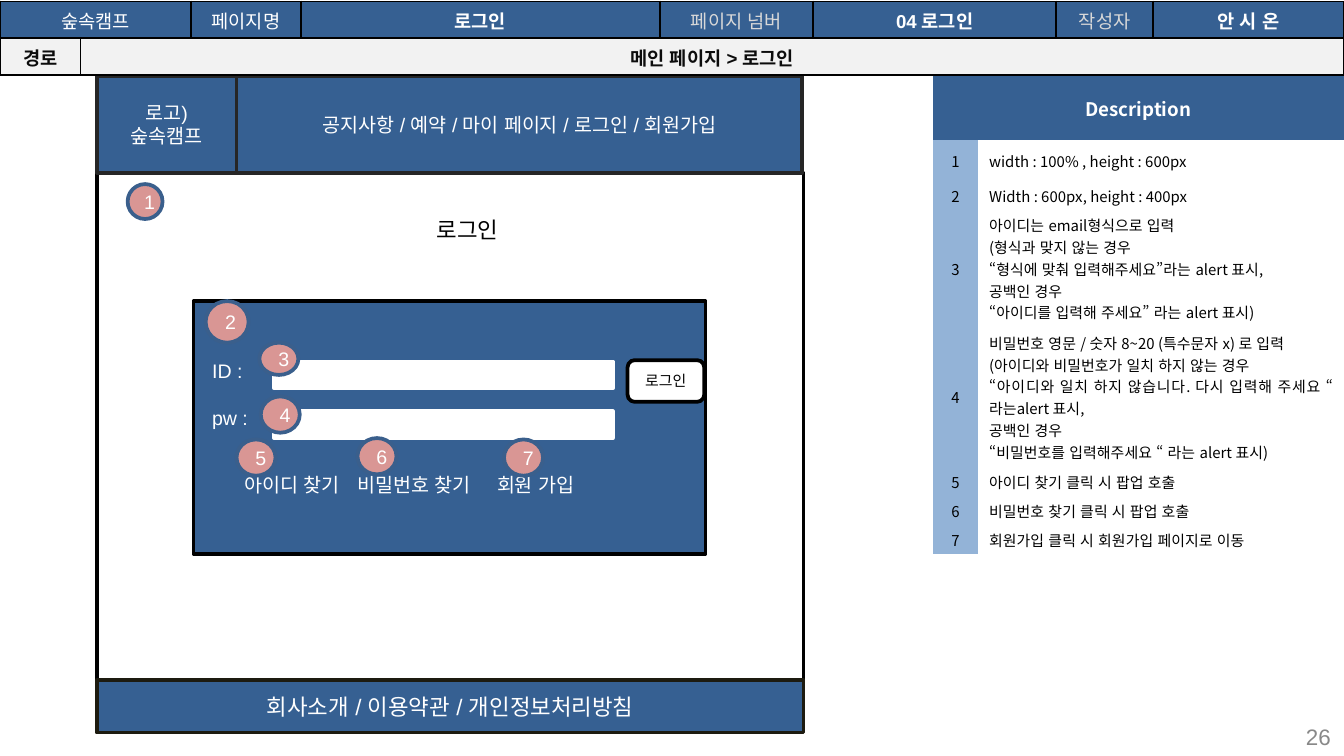
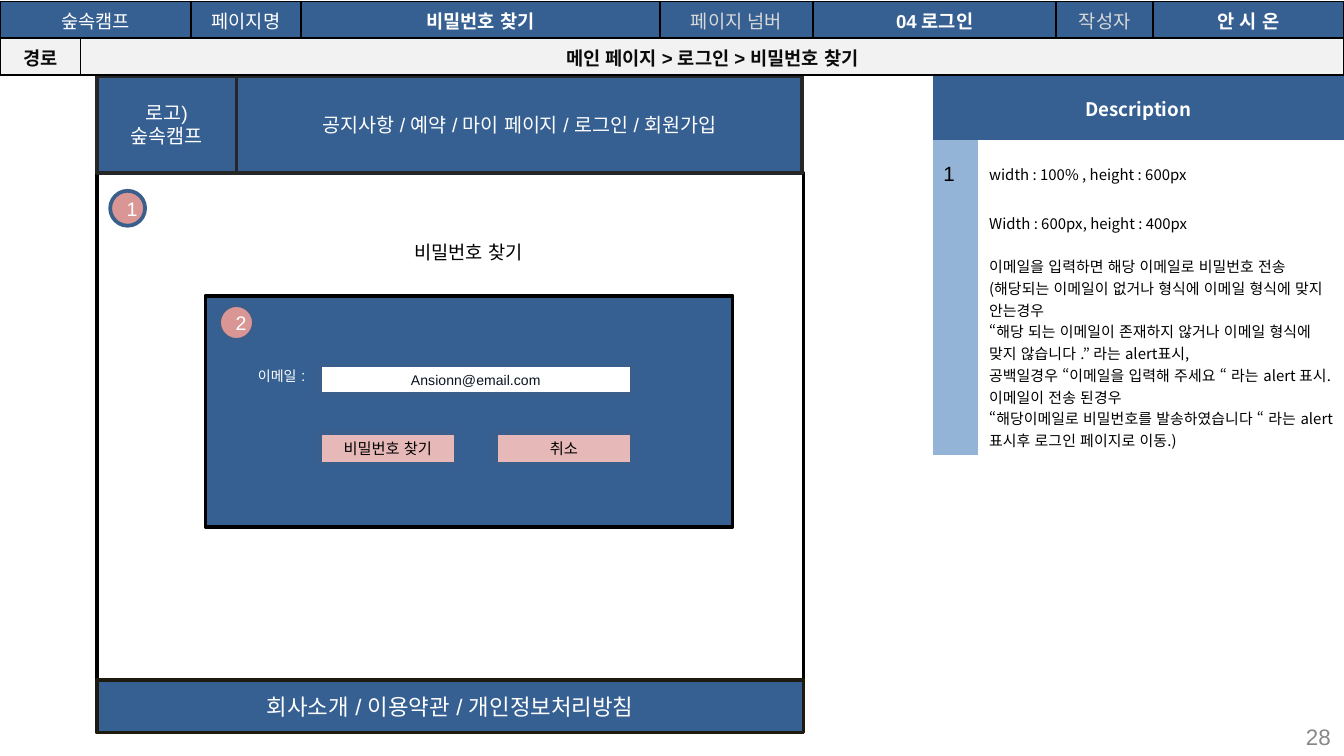
from lxml import etree
from pptx import Presentation
from pptx.dml.color import RGBColor
from pptx.enum.lang import MSO_LANGUAGE_ID as Language
from pptx.enum.shapes import MSO_SHAPE as Kind
from pptx.enum.text import MSO_ANCHOR as Anchor, PP_ALIGN as Align
from pptx.oxml.ns import qn
from pptx.util import Inches, Pt

COLORS = {
    "navy": "366092", "outline": "3A5F8C", "sky": "93B3D7", "badge": "D99694",
    "button": "E6B9B8", "white": "FFFFFF", "black": "000000", "ink": "0C0C0C",
    "email": "08121F", "pale": "F2F2F2", "muted": "D8D8D8", "number": "888888",
    "frame": "262626", "footer": "1D1B10",
}
GRID_COLUMNS, GRID_ROWS = 100, 56.25
CELL = Inches(10) // GRID_COLUMNS
LATIN, KOREAN = "Arial", "Noto Sans CJK KR"
PLAIN_TABLE = "{2D5ABB26-0587-4C30-8999-92F81FD0307C}"
BRAND = "숲속캠프"
HEADER_COLUMNS = (6, 8.2, 8.2, 26.7, 11.4, 18.1, 7.2, 14.2)
HEADER_ROWS = (2.75, 2.75)
DESCRIPTION_COLUMNS = (3.4, 27.2)
BODY_TOP = 5.65


def grid(*counts):
    """Turn counts of grid cells into lengths."""
    return [int(count * CELL) for count in counts]


def rgb(name):
    """Look up a named colour."""
    return RGBColor.from_string(COLORS[name])


def add_span(para, text, size=10.5, color="white", font=LATIN, bold=False):
    """Add formatted Korean text to a paragraph."""
    span = para.add_run()
    span.text = text
    span.font.size, span.font.bold, span.font.name = Pt(size), bold, font
    span.font.language_id = Language.KOREAN
    span.font.color.rgb = rgb(color)
    etree.SubElement(span._r.get_or_add_rPr(), qn("a:ea"), typeface=KOREAN)


def write(frame, text, align=Align.CENTER, **style):
    """Fill a text frame with one paragraph for each line."""
    frame.word_wrap = True
    for index, line in enumerate(text.split("\n")):
        para = frame.add_paragraph() if index else frame.paragraphs[0]
        para.alignment = align
        add_span(para, line, **style)


def add_box(page, place, text="", fill="white", line="black", kind=Kind.RECTANGLE, **style):
    """Add an outlined shape with optional text."""
    box = page.shapes.add_shape(kind, *grid(*place))
    box.shadow.inherit = False
    box.fill.solid()
    box.fill.fore_color.rgb = rgb(fill)
    box.line.color.rgb = rgb(line)
    box.line.width = Pt(2)
    if text:
        write(box.text_frame, text, **style)
    return box


def add_label(page, place, text, **style):
    """Add a text box centred vertically."""
    label = page.shapes.add_textbox(*grid(*place))
    label.text_frame.vertical_anchor = Anchor.MIDDLE
    write(label.text_frame, text, **style)
    return label


def add_badges(page, places):
    """Add numbered circles in order."""
    for number, place in enumerate(places, 1):
        add_box(page, place, str(number), "badge", "outline", Kind.OVAL)


def add_grid(page, left, top, columns, rows):
    """Add an unstyled table with the given column and row sizes."""
    frame = page.shapes.add_table(
        len(rows), len(columns), *grid(left, top, sum(columns), sum(rows)))
    frame.element.find(".//" + qn("a:tableStyleId")).text = PLAIN_TABLE
    table = frame.table
    table.first_row = table.horz_banding = False
    for column, width in zip(table.columns, grid(*columns)):
        column.width = width
    for row, height in zip(table.rows, grid(*rows)):
        row.height = height
    return frame


def fill_cell(cell, text, fill, margins, anchor=Anchor.MIDDLE, **style):
    """Set the fill, margins and text of a table cell."""
    cell.fill.solid()
    cell.fill.fore_color.rgb = rgb(fill)
    cell.margin_left = cell.margin_right = Inches(margins[0])
    cell.margin_top = cell.margin_bottom = Inches(margins[1])
    cell.vertical_anchor = anchor
    if text:
        write(cell.text_frame, text, **style)


def add_borders(frame):
    """Draw a thin black border round each cell of a table."""
    for properties in frame.element.iter(qn("a:tcPr")):
        for index, side in enumerate(("lnL", "lnR", "lnT", "lnB")):
            edge = etree.Element(qn("a:" + side), w=str(Pt(1)))
            paint = etree.SubElement(edge, qn("a:solidFill"))
            etree.SubElement(paint, qn("a:srgbClr"), val=COLORS["black"])
            properties.insert(index, edge)


def add_header(page, title, route):
    """Add the page information table along the top."""
    frame = add_grid(page, 0, 0.1, HEADER_COLUMNS, HEADER_ROWS)
    table = frame.table
    table.cell(0, 0).merge(table.cell(0, 1))
    table.cell(1, 1).merge(table.cell(1, 7))
    names = ((BRAND, "white", False), ("", "white", False), ("페이지명", "white", False),
             (title, "white", True), ("페이지 넘버", "muted", False),
             ("04 로그인", "white", True), ("작성자", "muted", False),
             ("안 시 온", "white", True))
    for column, (text, color, bold) in enumerate(names):
        fill_cell(table.cell(0, column), text, "navy", (0.09, 0.04), Anchor.TOP,
                  size=10, color=color, bold=bold)
        trail = ("경로", route)[column] if column < 2 else ""
        fill_cell(table.cell(1, column), trail, "pale", (0.09, 0.04),
                  size=10, color="ink", bold=True)
    add_borders(frame)


def add_description(page, heights, notes, **number_style):
    """Add the description table and return it."""
    table = add_grid(page, 69.4, BODY_TOP, DESCRIPTION_COLUMNS, heights).table
    table.cell(0, 0).merge(table.cell(0, 1))
    for column, text in enumerate(("Description", "")):
        fill_cell(table.cell(0, column), text, "navy", (0.1, 0.04),
                  size=10, font=KOREAN, bold=True)
    style = {"size": 8, "font": KOREAN, "color": "black"}
    for row, (number, note) in enumerate(notes, 1):
        fill_cell(table.cell(row, 0), number, "sky", (0.08, 0.03), **{**style, **number_style})
        fill_cell(table.cell(row, 1), note, "white", (0.08, 0.03),
                  align=Align.JUSTIFY, **style)
    return table


def add_screen(deck, title, route, number):
    """Add a page with the header, site frame and page number."""
    page = deck.slides.add_slide(deck.slide_layouts[6])
    add_box(page, (7.2, 12.9, 52.6, 37.7))
    add_box(page, (7.2, BODY_TOP, 10.4, 7.2), "로고)\n" + BRAND, "navy", "frame")
    add_box(page, (17.6, BODY_TOP, 42.1, 7.2),
            "공지사항 / 예약 / 마이 페이지 / 로그인 / 회원가입", "navy", "frame")
    add_box(page, (7.2, 50.6, 52.6, 3.9), "회사소개 / 이용약관 / 개인정보처리방침",
            "navy", "footer", size=12)
    add_label(page, (76.7, 53.3, 23.3, 3), number, align=Align.RIGHT, size=12, color="number")
    add_header(page, title, route)
    return page


def add_login(deck):
    """Build the login page."""
    page = add_screen(deck, "로그인", "메인 페이지 > 로그인", "26")
    add_box(page, (22.2, 15.5, 25.2, 3.1), "로그인", line="white", size=12, color="black")
    panel = add_box(page, (14.4, 22.4, 38.1, 18.8),
                    "ID :\npw :\n\t아이디 찾기\t비밀번호 찾기\t회원 가입", "navy", align=Align.LEFT)
    account, password, links = panel.text_frame.paragraphs
    password.space_before, links.space_before = Pt(13), Pt(23)
    for para in (account, password):
        para._p.get_or_add_pPr().set("marL", str(Inches(0.04)))
    stops = etree.SubElement(links._p.get_or_add_pPr(), qn("a:tabLst"))
    for position in grid(2.8, 11.2, 21.6):
        etree.SubElement(stops, qn("a:tab"), pos=str(position), algn="l")
    for top in (26.9, 30.6):
        add_box(page, (20.4, top, 25.2, 2), line="white")
    add_box(page, (46.7, 26.8, 5.7, 3.1), "로그인", kind=Kind.ROUNDED_RECTANGLE,
            size=8, color="black")
    add_badges(page, (
        (9.5, 13.7, 2.6, 2.6), (15.3, 22.4, 3.2, 3.1), (19.3, 25.5, 2.9, 2.4),
        (19.4, 29.5, 2.9, 2.7), (17.6, 32.7, 2.9, 2.7), (26.6, 32.6, 2.9, 2.7),
        (37.5, 32.7, 2.9, 2.7)))
    notes = (
        "width : 100% , height : 600px",
        "Width : 600px, height : 400px",
        "아이디는 email형식으로 입력\n(형식과 맞지 않는 경우\n"
        "“형식에 맞춰 입력해주세요”라는 alert 표시,\n공백인 경우\n"
        "“아이디를 입력해 주세요” 라는 alert 표시)",
        "비밀번호 영문 / 숫자 8~20 (특수문자 x) 로 입력\n"
        "(아이디와 비밀번호가 일치 하지 않는 경우\n"
        "“아이디와 일치 하지 않습니다. 다시 입력해 주세요 “ 라는alert 표시,\n"
        "공백인 경우\n“비밀번호를 입력해주세요 “ 라는 alert 표시)",
        "아이디 찾기 클릭 시 팝업 호출",
        "비밀번호 찾기 클릭 시 팝업 호출",
        "회원가입 클릭 시 회원가입 페이지로 이동",
    )
    add_description(page, (4.8, 3, 2.2, 8.7, 10.4, 2.15, 2.15, 2.15),
                    [(str(number), note) for number, note in enumerate(notes, 1)])


def add_password_search(deck):
    """Build the password search page."""
    title = "비밀번호 찾기"
    page = add_screen(deck, title, "메인 페이지 > 로그인 > 비밀번호 찾기", "28")
    add_box(page, (26.2, 17.3, 17.3, 2.9), title, line="white", size=10, color="black")
    add_box(page, (15.3, 22, 39.2, 17.2), fill="navy")
    label = add_label(page, (18.1, 26.6, 5.7, 2.7), "이메일", size=7.5)
    add_span(label.text_frame.paragraphs[0], " : ", size=8.2)
    add_box(page, (23.8, 27.2, 23.2, 2.1), "Ansionn@email.com", line="outline",
            size=7.5, color="email")
    for left, text in ((23.8, title), (36.9, "취소")):
        add_box(page, (left, 32.2, 10.1, 2.3), text, "button", "outline",
                size=8.2, color="black")
    add_badges(page, ((8.2, 14.2, 2.6, 2.6), (16.3, 22.7, 2.6, 2.6)))
    notes = (
        ("1", "width : 100% , height : 600px"),
        ("", "Width : 600px, height : 400px\n"
             "이메일을 입력하면 해당 이메일로 비밀번호 전송\n"
             "(해당되는 이메일이 없거나 형식에 이메일 형식에 맞지 안는경우\n"
             "“해당 되는 이메일이 존재하지 않거나 이메일 형식에 맞지 않습니다 .” 라는 alert표시,\n"
             "공백일경우 “이메일을 입력해 주세요 “ 라는 alert 표시. 이메일이 전송 된경우\n"
             "“해당이메일로 비밀번호를 발송하였습니다 “ 라는 alert 표시후 로그인 페이지로 이동.)"),
    )
    table = add_description(page, (4.8, 5, 18.4), notes, size=11, font=LATIN, align=Align.LEFT)
    rules = table.cell(2, 1).text_frame.paragraphs[1:]
    rules[0].space_before = Pt(11.6)
    for para in rules:
        para.alignment = Align.LEFT


def main():
    """Build and save the deck."""
    deck = Presentation()
    deck.slide_width, deck.slide_height = grid(GRID_COLUMNS, GRID_ROWS)
    add_login(deck)
    add_password_search(deck)
    deck.save("out.pptx")


if __name__ == "__main__":
    main()
